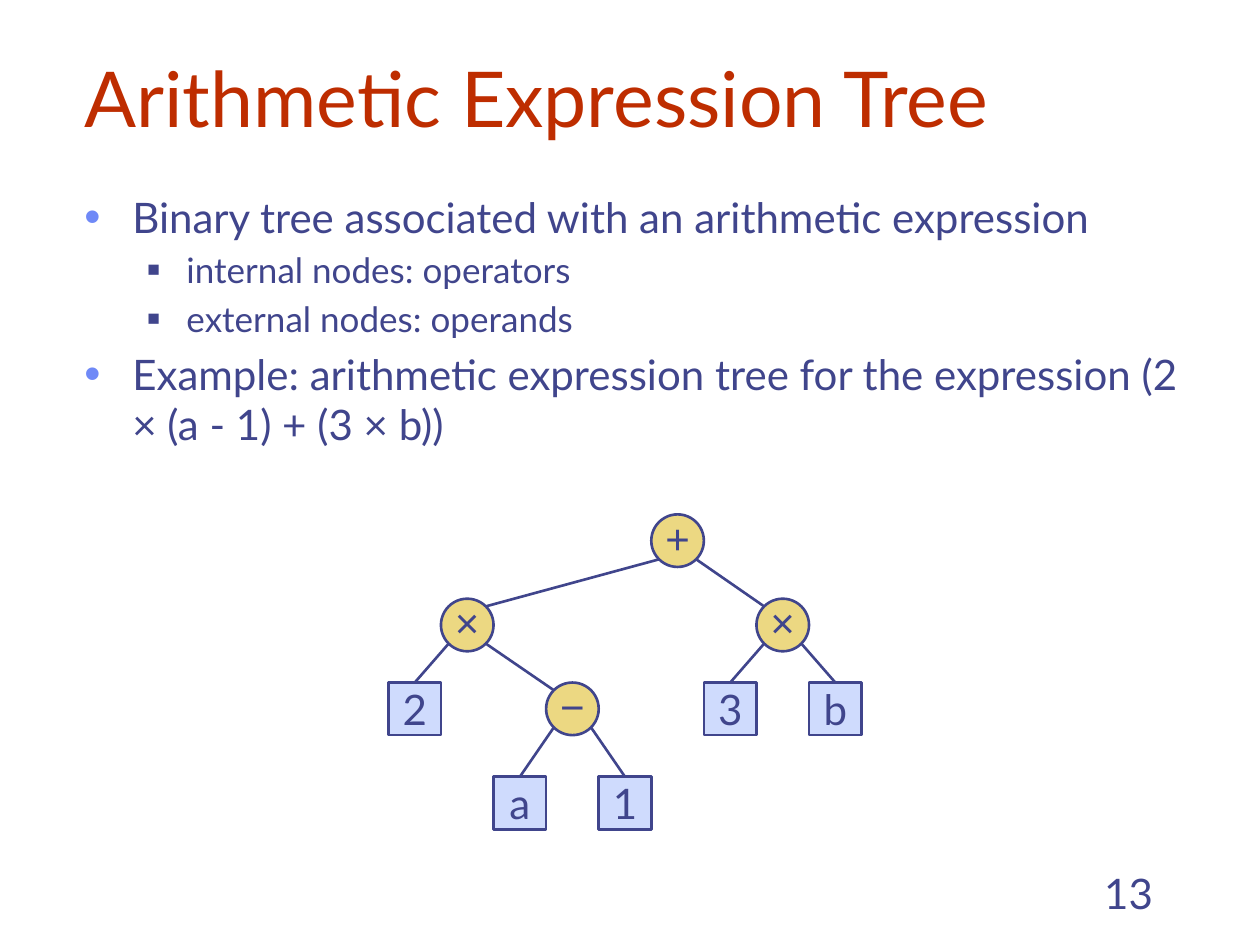
import pptx
import pptx.util
from lxml import etree
from pptx.dml.color import RGBColor
from pptx.enum.shapes import MSO_CONNECTOR, MSO_SHAPE
from pptx.enum.text import MSO_ANCHOR, PP_ALIGN
from pptx.oxml.ns import qn

Cm, Pt = pptx.util.Cm, pptx.util.Pt

TITLE = "Arithmetic Expression Tree"
PAGE_NUMBER = "13"
BULLETS = [  # level, text
    (0, "Binary tree associated with an arithmetic expression"),
    (1, "internal nodes: operators"),
    (1, "external nodes: operands"),
    (0, "Example: arithmetic expression tree for the expression (2 × (a - 1) + (3 × b))"),
]
LEVELS = [
    dict(size=24, left=0.97, hanging=0.97, before=4.8, mark="•", color="6F89F7", scale=110),
    dict(size=20, left=2.06, hanging=0.79, before=4, mark="■", color="40458C", scale=60),
]
# An operator is (left subtree, symbol, right subtree); an operand is a string.
TREE = (("2", "×", ("a", "−", "1")), "+", ("3", "×", "b"))

INK, TITLE_RED, OPERATOR_FILL, OPERAND_FILL = "40458C", "BE2D00", "ECD882", "CFDBFD"
TREE_LEFT = 7.83
ROW_TOPS = [10.37, 12.07, 13.76, 15.66]
NODE_SIZE = 1.06  # also the distance between neighbouring columns
DIAGONAL = NODE_SIZE / 2 * 0.71  # from a circle's centre to its 45° point, per axis


def rgb(value):
    return RGBColor.from_string(value)


def set_font(paragraph, size, color=INK, name="Lato"):
    paragraph.font.size = Pt(size)
    paragraph.font.name = name
    paragraph.font.color.rgb = rgb(color)


def add_bullet(paragraph, level):
    properties = paragraph._p.get_or_add_pPr()
    properties.set("marL", str(Cm(level["left"])))
    properties.set("indent", str(-Cm(level["hanging"])))
    color = etree.SubElement(properties, qn("a:buClr"))
    etree.SubElement(color, qn("a:srgbClr"), val=level["color"])
    etree.SubElement(properties, qn("a:buSzPct"), val=str(level["scale"] * 1000))
    etree.SubElement(properties, qn("a:buFont"), typeface="Arial")
    etree.SubElement(properties, qn("a:buChar"), char=level["mark"])


def add_text_box(slide, left, top, width, height):
    frame = slide.shapes.add_textbox(Cm(left), Cm(top), Cm(width), Cm(height)).text_frame
    frame.word_wrap = True
    return frame


def add_node(slide, symbol, column, row, is_operator):
    shape = slide.shapes.add_shape(
        MSO_SHAPE.OVAL if is_operator else MSO_SHAPE.RECTANGLE,
        Cm(TREE_LEFT + column * NODE_SIZE), Cm(ROW_TOPS[row]), Cm(NODE_SIZE), Cm(NODE_SIZE))
    shape.shadow.inherit = False
    shape.fill.solid()
    shape.fill.fore_color.rgb = rgb(OPERATOR_FILL if is_operator else OPERAND_FILL)
    shape.line.color.rgb = rgb(INK)
    shape.line.width = Pt(1.5)
    frame = shape.text_frame
    frame.word_wrap = False
    frame.vertical_anchor = MSO_ANCHOR.MIDDLE
    if is_operator:
        frame.margin_left = frame.margin_right = frame.margin_top = 0
        frame.margin_bottom = Cm(0.13)
    paragraph = frame.paragraphs[0]
    paragraph.text = symbol
    paragraph.alignment = PP_ALIGN.CENTER
    set_font(paragraph, 24, name="Arial" if is_operator else "Lato")
    return shape


def add_edge(slide, parent, child, side, child_is_operator):
    """Join parent to child; side is -1 for a left child and 1 for a right one."""
    def circle_point(shape, horizontal, vertical):
        return (shape.left + shape.width // 2 + Cm(horizontal * DIAGONAL),
                shape.top + shape.height // 2 + Cm(vertical * DIAGONAL))

    start = circle_point(parent, side, 1)
    end = circle_point(child, -side, -1)
    edge = slide.shapes.add_connector(MSO_CONNECTOR.STRAIGHT, *start, *end)
    if not child_is_operator:
        edge.end_connect(child, 0)
    edge.line.color.rgb = rgb(INK)
    edge.line.width = Pt(1.5)
    etree.SubElement(edge._element.spPr, qn("a:effectLst"))


def add_tree(slide, tree, column=0, row=0):
    """Draw a subtree in order, one column per node; return its root and next free column."""
    if isinstance(tree, str):
        return add_node(slide, tree, column, row, False), column + 1
    left, symbol, right = tree
    left_root, column = add_tree(slide, left, column, row + 1)
    root = add_node(slide, symbol, column, row, True)
    right_root, column = add_tree(slide, right, column + 1, row + 1)
    for child, child_root, side in ((left, left_root, -1), (right, right_root, 1)):
        add_edge(slide, root, child_root, side, isinstance(child, tuple))
    return root, column


def main():
    presentation = pptx.Presentation()
    presentation.slide_width, presentation.slide_height = Cm(25.4), Cm(19.05)
    slide = presentation.slides.add_slide(presentation.slide_layouts[5])

    title = slide.shapes.title
    title.left, title.top, title.width, title.height = Cm(1.45), Cm(0.84), Cm(22.94), Cm(2.16)
    title.text_frame.text = TITLE
    title.text_frame.vertical_anchor = MSO_ANCHOR.BOTTOM
    title.text_frame.paragraphs[0].alignment = PP_ALIGN.LEFT
    set_font(title.text_frame.paragraphs[0], 44, TITLE_RED)

    body = add_text_box(slide, 1.45, 3.73, 22.96, 13.08)
    for index, (depth, text) in enumerate(BULLETS):
        level = LEVELS[depth]
        paragraph = body.add_paragraph() if index else body.paragraphs[0]
        paragraph.text = text
        paragraph.level = depth
        add_bullet(paragraph, level)
        if index:
            paragraph.space_before = Pt(level["before"])
        set_font(paragraph, level["size"])

    number = add_text_box(slide, 18.21, 17.35, 5.28, 1.27)
    number.vertical_anchor = MSO_ANCHOR.BOTTOM
    number.paragraphs[0].text = PAGE_NUMBER
    number.paragraphs[0].alignment = PP_ALIGN.RIGHT
    set_font(number.paragraphs[0], 24)

    add_tree(slide, TREE)
    presentation.save("out.pptx")


if __name__ == "__main__":
    main()
